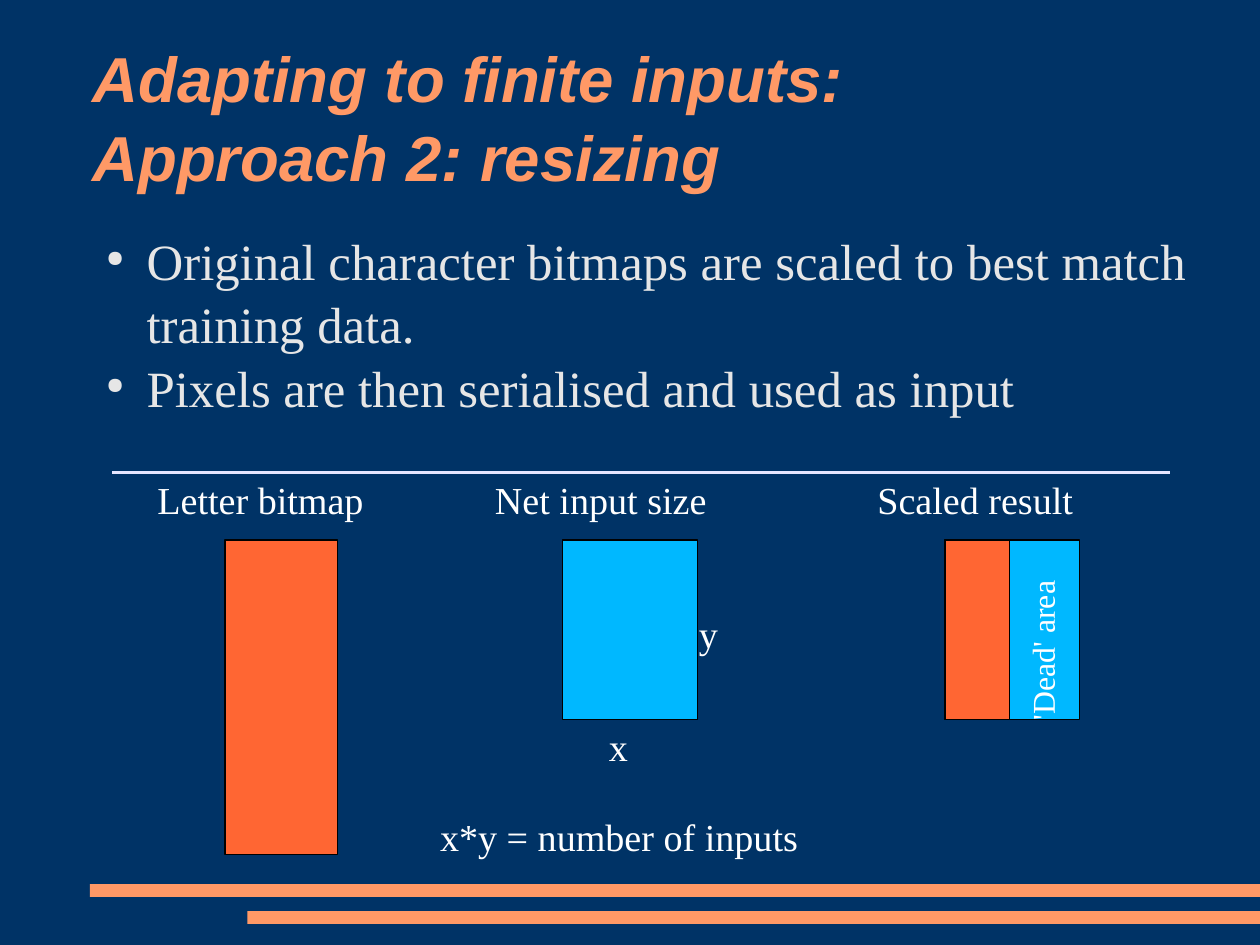
from lxml.etree import SubElement
from pptx import Presentation
from pptx.dml.color import RGBColor
from pptx.enum.shapes import MSO_CONNECTOR, MSO_SHAPE
from pptx.enum.text import MSO_ANCHOR, PP_ALIGN
from pptx.oxml.ns import qn
from pptx.util import Cm, Pt

NAVY = RGBColor(0x00, 0x33, 0x66)
PEACH = RGBColor(0xFF, 0x99, 0x66)
ORANGE = RGBColor(0xFF, 0x66, 0x33)
BLUE = RGBColor(0x00, 0xB8, 0xFF)
GREY = RGBColor(0xE6, 0xE6, 0xE6)
LAVENDER = RGBColor(0xE6, 0xE6, 0xFF)
WHITE = RGBColor(0xFF, 0xFF, 0xFF)
BLACK = RGBColor(0, 0, 0)
SERIF = "Times New Roman"

# All lengths are in centimetres.
WIDTH, HEIGHT = 28, 21
TITLE = ["Adapting to finite inputs:", "Approach 2: resizing"]
BULLETS = [
    "Original character bitmaps are scaled to best match training data.",
    "Pixels are then serialised and used as input",
]
FOOTER_BARS = [(2, 19.65), (5.5, 20.25)]  # left, top
BAR_HEIGHT = 0.28
BITMAP_TOP = 12
BITMAPS = [  # left, width, height, colour
    (5, 2.5, 7, ORANGE),
    (12.5, 3, 4, BLUE),
    (21, 3, 4, BLUE),
    (21, 1.43, 4, ORANGE),
]
LABEL_HEIGHT = 1.17
LABELS = [  # text, left, top, width
    ("Letter bitmap", 3.5, 10.5, 5.56),
    ("Net input size", 11, 10.52, 5.77),
    ("x", 13.53, 16, 0.5),
    ("y", 15.53, 13.48, 0.5),
    ("x*y = number of inputs", 9.78, 18, 9.73),
    ("Scaled result", 19.5, 10.5, 5.26),
]
DEAD_AREA = ("'Dead' area", 21.28, 13.64, 3.76, 0.97)


def clear_margins(frame):
    frame.margin_left = frame.margin_right = 0
    frame.margin_top = frame.margin_bottom = 0
    frame.word_wrap = True


def add_span(para, text, size, color, font=SERIF):
    span = para.add_run()
    span.text = text
    span.font.name = font
    span.font.size = Pt(size)
    span.font.color.rgb = color
    return span


def add_rectangle(page, left, top, width, height, color):
    box = page.shapes.add_shape(
        MSO_SHAPE.RECTANGLE, Cm(left), Cm(top), Cm(width), Cm(height))
    box.shadow.inherit = False
    box.fill.solid()
    box.fill.fore_color.rgb = color
    box.line.fill.background()
    return box


def add_label(page, text, left, top, width, height, size):
    box = page.shapes.add_textbox(Cm(left), Cm(top), Cm(width), Cm(height))
    clear_margins(box.text_frame)
    box.text_frame.vertical_anchor = MSO_ANCHOR.MIDDLE
    add_span(box.text_frame.paragraphs[0], text, size, WHITE)
    return box


def add_bullet(para):
    properties = para._p.get_or_add_pPr()
    properties.set("marL", str(Cm(1.2)))
    properties.set("indent", str(-Cm(0.9)))
    color = SubElement(properties, qn("a:buClr"))
    SubElement(color, qn("a:srgbClr")).set("val", str(GREY))
    SubElement(properties, qn("a:buSzPct")).set("val", "45000")
    SubElement(properties, qn("a:buChar")).set("char", "●")


def add_title(page):
    title = page.shapes.title
    title.left, title.top = Cm(2.06), Cm(0.8)
    title.width, title.height = Cm(23.9), Cm(3.5)
    clear_margins(title.text_frame)
    title.text_frame.vertical_anchor = MSO_ANCHOR.MIDDLE
    para = title.text_frame.paragraphs[0]
    para.alignment = PP_ALIGN.LEFT
    para.line_spacing = 1.04
    for index, text in enumerate(TITLE):
        if index:
            para.add_line_break()
        span = add_span(para, text, 40, PEACH, "Arial")
        span.font.bold = span.font.italic = True


def add_body(page):
    box = page.shapes.add_textbox(Cm(2.06), Cm(5.05), Cm(24.44), Cm(5))
    frame = box.text_frame
    clear_margins(frame)
    for index, text in enumerate(BULLETS):
        para = frame.add_paragraph() if index else frame.paragraphs[0]
        para.line_spacing = 1.04
        add_bullet(para)
        add_span(para, text, 32, GREY)


def add_divider(page):
    line = page.shapes.add_connector(
        MSO_CONNECTOR.STRAIGHT, Cm(2.5), Cm(10.5), Cm(26), Cm(10.5))
    line.line.color.rgb = LAVENDER
    line.line.width = Pt(0)
    SubElement(line._element.spPr, qn("a:effectLst"))


def main():
    deck = Presentation()
    deck.slide_width, deck.slide_height = Cm(WIDTH), Cm(HEIGHT)
    page = deck.slides.add_slide(deck.slide_layouts[5])
    page.background.fill.solid()
    page.background.fill.fore_color.rgb = NAVY

    for left, top in FOOTER_BARS:
        add_rectangle(page, left, top, WIDTH - left, BAR_HEIGHT, PEACH)
    add_title(page)
    add_body(page)
    for left, width, height, color in BITMAPS:
        bitmap = add_rectangle(page, left, BITMAP_TOP, width, height, color)
        bitmap.line.color.rgb = BLACK
        bitmap.line.width = Pt(0)
    for text, left, top, width in LABELS:
        add_label(page, text, left, top, width, LABEL_HEIGHT, 24)
    add_divider(page)
    add_label(page, *DEAD_AREA, 20).rotation = 270

    deck.save("out.pptx")


if __name__ == "__main__":
    main()
